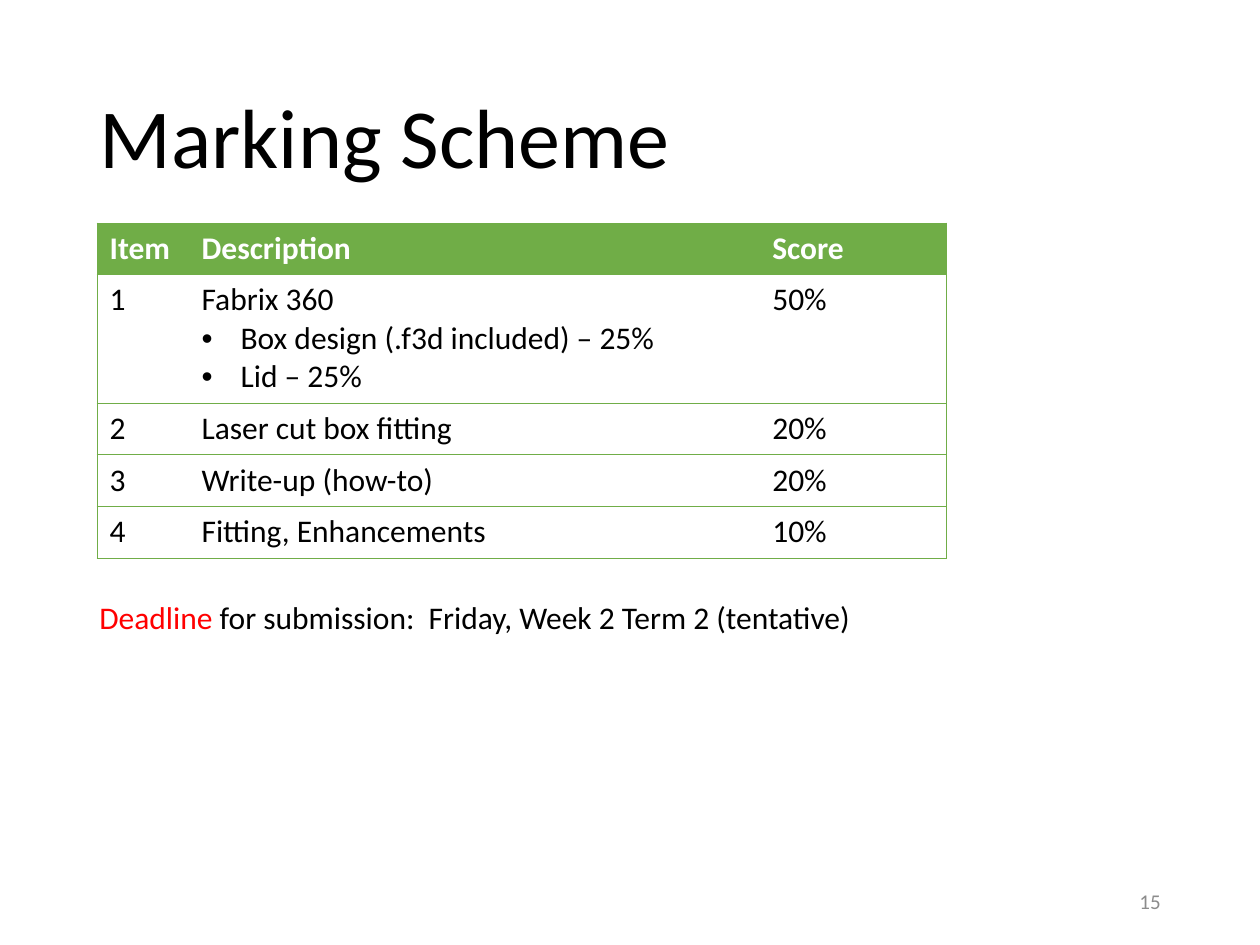
from lxml import etree
from pptx import Presentation
from pptx.dml.color import RGBColor
from pptx.enum.text import MSO_ANCHOR, PP_ALIGN
from pptx.oxml.ns import qn
from pptx.util import Inches, Pt

MIDDLE = MSO_ANCHOR.MIDDLE
TOP = MSO_ANCHOR.TOP
LEFT = PP_ALIGN.LEFT
RIGHT = PP_ALIGN.RIGHT

FONT = "Calibri"
BLACK = RGBColor(0x00, 0x00, 0x00)
WHITE = RGBColor(0xFF, 0xFF, 0xFF)
GREEN = RGBColor(0x70, 0xAD, 0x47)
RED = RGBColor(0xFF, 0x00, 0x00)
GRAY = RGBColor(0x8C, 0x8C, 0x8C)

TITLE = "Marking Scheme"
MARKS = [
    ("Item", ["Description"], "Score"),
    ("1", ["Fabrix 360", "Box design (.f3d included) – 25%", "Lid – 25%"], "50%"),
    ("2", ["Laser cut box fitting"], "20%"),
    ("3", ["Write-up (how-to)"], "20%"),
    ("4", ["Fitting, Enhancements"], "10%"),
]
DEADLINE = [
    ("Deadline", RED),
    (" for submission:  Friday, Week 2 Term 2 (tentative)", BLACK),
]
PAGE_NUMBER = "15"

COLUMN_WIDTHS = [0.73, 4.53, 1.48]
ROW_HEIGHT = 0.41
LINE_HEIGHT = 0.305
BULLET_INDENT = 0.31


def add_run(paragraph, text, size, color, bold=False):
    run = paragraph.add_run()
    run.text = text
    run.font.name = FONT
    run.font.size = Pt(size)
    run.font.bold = bold
    run.font.color.rgb = color


def add_bullet(paragraph):
    properties = paragraph._p.get_or_add_pPr()
    properties.set("marL", str(Inches(BULLET_INDENT)))
    properties.set("indent", str(-Inches(BULLET_INDENT)))
    etree.SubElement(properties, qn("a:buFont"), typeface="Arial")
    etree.SubElement(properties, qn("a:buChar"), char="•")


def set_borders(cell, visible_sides):
    properties = cell._tc.get_or_add_tcPr()
    for side in "LRTB":
        line = etree.SubElement(properties, qn(f"a:ln{side}"), w=str(Pt(0.5)))
        if side in visible_sides:
            fill = etree.SubElement(line, qn("a:solidFill"))
            etree.SubElement(fill, qn("a:srgbClr"), val=str(GREEN))
        else:
            etree.SubElement(line, qn("a:noFill"))


def fill_cell(cell, lines, is_header, visible_sides):
    set_borders(cell, visible_sides)
    if is_header:
        cell.fill.solid()
        cell.fill.fore_color.rgb = GREEN
    else:
        cell.fill.background()
    for index, line in enumerate(lines):
        frame = cell.text_frame
        paragraph = frame.add_paragraph() if index else frame.paragraphs[0]
        if index:
            add_bullet(paragraph)
        add_run(paragraph, line, 18, WHITE if is_header else BLACK, is_header)


def add_marks_table(slide):
    heights = [ROW_HEIGHT + LINE_HEIGHT * (len(lines) - 1) for _, lines, _ in MARKS]
    table = slide.shapes.add_table(
        len(MARKS), len(COLUMN_WIDTHS), Inches(0.77), Inches(1.77),
        Inches(sum(COLUMN_WIDTHS)), Inches(sum(heights))).table
    for column, width in zip(table.columns, COLUMN_WIDTHS):
        column.width = Inches(width)
    last_column = len(COLUMN_WIDTHS) - 1
    for row, (item, description, score) in enumerate(MARKS):
        table.rows[row].height = Inches(heights[row])
        for column, lines in enumerate(([item], description, [score])):
            sides = "TB" + {0: "L", last_column: "R"}.get(column, "")
            fill_cell(table.cell(row, column), lines, row == 0, sides)


def add_text(slide, box, runs, size, align=LEFT, anchor=TOP):
    frame = slide.shapes.add_textbox(*map(Inches, box)).text_frame
    frame.word_wrap = True
    frame.vertical_anchor = anchor
    paragraph = frame.paragraphs[0]
    paragraph.alignment = align
    for text, color in runs:
        add_run(paragraph, text, size, color)


def main():
    presentation = Presentation()
    presentation.slide_width = Inches(10)
    presentation.slide_height = Inches(7.5)
    slide = presentation.slides.add_slide(presentation.slide_layouts[5])

    title = slide.shapes.title
    title.left, title.top = Inches(0.69), Inches(0.4)
    title.width, title.height = Inches(8.62), Inches(1.45)
    title.text_frame.vertical_anchor = MIDDLE
    heading = title.text_frame.paragraphs[0]
    heading.alignment = LEFT
    heading.line_spacing = 0.9
    add_run(heading, TITLE, 48, BLACK)

    add_marks_table(slide)
    add_text(slide, (7.06, 6.95, 2.25, 0.4), [(PAGE_NUMBER, GRAY)], 12, RIGHT, MIDDLE)
    add_text(slide, (0.69, 4.7, 6.73, 0.4), DEADLINE, 18)
    presentation.save("out.pptx")


if __name__ == "__main__":
    main()
